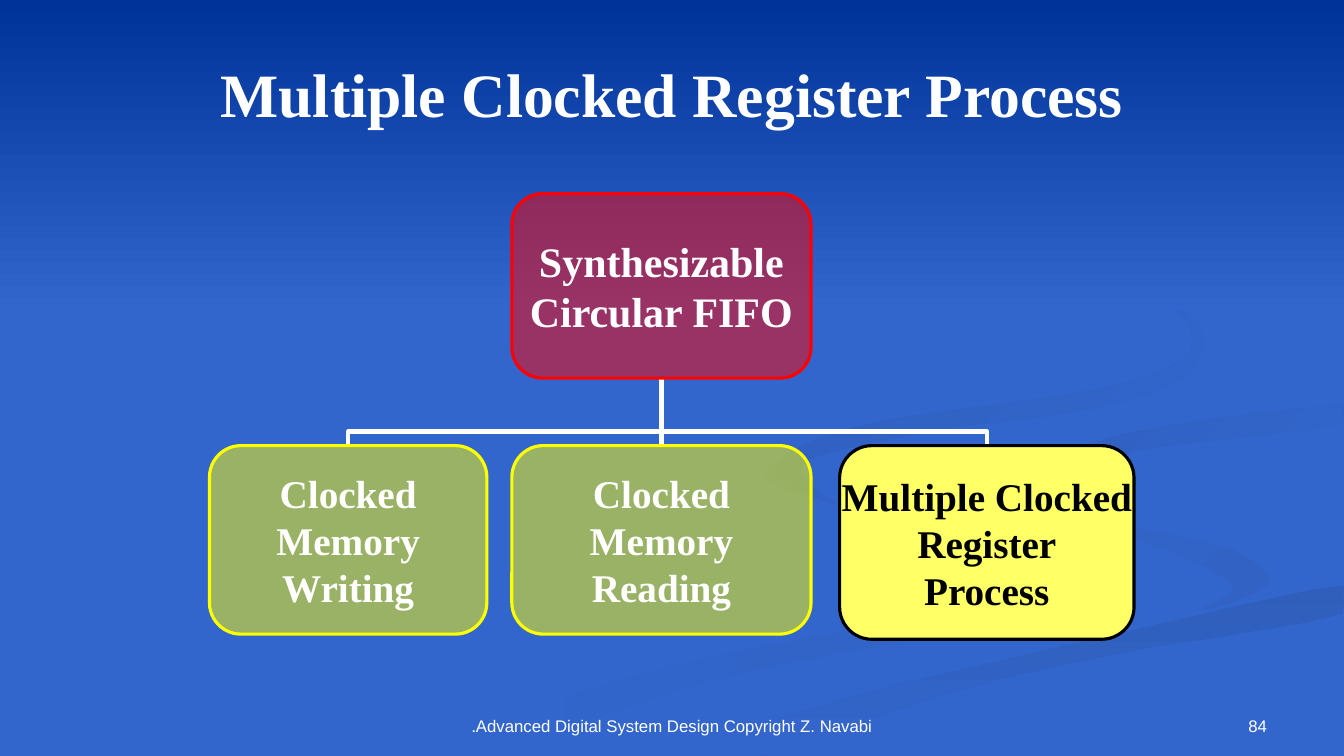
from lxml.etree import SubElement
from pptx import Presentation
from pptx.dml.color import RGBColor
from pptx.enum.shapes import MSO_CONNECTOR, MSO_SHAPE
from pptx.enum.text import MSO_ANCHOR, PP_ALIGN
from pptx.oxml.ns import qn
from pptx.util import Cm, Pt

COLORS = {
    "background": "3366CC", "band": "003399", "white": "FFFFFF", "black": "000000",
    "red": "FF0000", "yellow": "FFFF00", "highlight": "FFFF66",
    "tail": "3162C4", "stream": "2F5EBB", "curl": "3060C1", "crest": "2F5FBE",
}
SERIF, SANS = "Times New Roman", "Arial"
HUNDREDTH_INCH = Cm(2.54) / 100
CURVE_STEPS = 5

# First colour, last colour, angle, guide points in hundredths of an inch
SWOOSHES = [
    ("background", "tail", 0, [
        (1042, 553), (910, 519), (792, 485), (767, 459), (774, 484), (929, 525), (1047, 562),
        (969, 602), (665, 661), (400, 749), (482, 749), (709, 674), (987, 618), (1066, 580)]),
    ("background", "tail", 315, [
        (1257, 570), (1206, 540), (1056, 509), (965, 464), (1007, 505), (1139, 539),
        (1223, 580), (1191, 605), (1243, 589)]),
    ("stream", "background", 270, [
        (671, 749), (762, 749), (926, 692), (1095, 651), (1331, 609), (1331, 581),
        (1109, 629), (840, 693)]),
    ("curl", "background", 315, [
        (1042, 460), (1054, 478), (1101, 496), (1073, 472), (1124, 448), (1331, 420),
        (1331, 402), (1132, 427)]),
    ("crest", "background", 315, [
        (911, 430), (1099, 402), (1185, 362), (1173, 307), (1017, 233), (1149, 292),
        (1181, 348), (1091, 386), (865, 420), (769, 462), (829, 500), (795, 461)]),
]


def rgb(name):
    return RGBColor.from_string(COLORS[name])


def smooth_outline(points):
    """Closed Catmull-Rom curve through the guide points."""
    count = len(points)
    outline = []
    for index in range(count):
        corners = [points[(index + shift) % count] for shift in (-1, 0, 1, 2)]
        for step in range(CURVE_STEPS):
            t = step / CURVE_STEPS
            weights = (-t + 2 * t**2 - t**3, 2 - 5 * t**2 + 3 * t**3,
                       t + 4 * t**2 - 3 * t**3, t**3 - t**2)
            x, y = (sum(w * value for w, value in zip(weights, axis)) / 2
                    for axis in zip(*corners))
            outline.append((min(round(x), 1333), min(round(y), 750)))
    return outline


def fill_gradient(shape, first, last, angle):
    shape.shadow.inherit = False
    shape.line.fill.background()
    shape.fill.gradient()
    shape.fill.gradient_angle = angle
    for stop, name, position in zip(shape.fill.gradient_stops, (first, last), (0, 1)):
        stop.color.rgb = rgb(name)
        stop.position = position


def write_lines(shape, lines, font_format, anchor=MSO_ANCHOR.MIDDLE,
                alignment=PP_ALIGN.CENTER, color="white"):
    frame = shape.text_frame
    frame.vertical_anchor = anchor
    for index, line in enumerate(lines):
        paragraph = frame.paragraphs[0] if index == 0 else frame.add_paragraph()
        paragraph.alignment = alignment
        run = paragraph.add_run()
        run.text = line
        for name, value in font_format.items():
            setattr(run.font, name, value)
        run.font.color.rgb = rgb(color)


def add_text(slide, box, text, font_format, **layout):
    shape = slide.shapes.add_textbox(*map(Cm, box))
    shape.text_frame.word_wrap = True
    write_lines(shape, [text], font_format, **layout)
    return shape


def add_backdrop(slide, box):
    left, top, width, height = box
    slide.background.fill.solid()
    slide.background.fill.fore_color.rgb = rgb("background")
    for first, last, angle, points in SWOOSHES:
        outline = smooth_outline(points)
        builder = slide.shapes.build_freeform(*outline[0], scale=HUNDREDTH_INCH)
        builder.add_line_segments(outline[1:], close=True)
        fill_gradient(builder.convert_to_shape(Cm(left), Cm(top)), first, last, angle)
    band = slide.shapes.add_shape(MSO_SHAPE.RECTANGLE, Cm(left), Cm(top), Cm(width),
                                  Cm(height * 0.41))
    fill_gradient(band, "band", "background", 270)


def add_node(slide, box, lines, size, fill, outline, text_color="white", alpha=None):
    node = slide.shapes.add_shape(MSO_SHAPE.ROUNDED_RECTANGLE, *map(Cm, box))
    node.shadow.inherit = False
    node.fill.solid()
    node.fill.fore_color.rgb = rgb(fill)
    if alpha is not None:
        color = node._element.spPr.find(qn("a:solidFill"))[0]
        SubElement(color, qn("a:alpha"), val=str(alpha * 1000))
    node.line.color.rgb = rgb(outline)
    node.line.width = Pt(2.25)
    frame = node.text_frame
    frame.word_wrap = False
    for side in ("left", "right", "top", "bottom"):
        setattr(frame, f"margin_{side}", 0)
    write_lines(node, lines, {"name": SERIF, "size": Pt(size), "bold": True}, color=text_color)


def add_branch(slide, child, root):
    """Elbow from the top of a child box up to the bottom of the root box."""
    start_x, start_y = child[0] + child[2] / 2, child[1]
    end_x, end_y = root[0] + root[2] / 2, root[1] + root[3]
    middle_x, middle_y = (start_x + end_x) / 2, (start_y + end_y) / 2
    rise, span = start_y - end_y, end_x - start_x
    # The elbow runs sideways by default; a 270 degree turn makes it run upwards
    branch = slide.shapes.add_connector(
        MSO_CONNECTOR.ELBOW, Cm(middle_x - rise / 2), Cm(middle_y - span / 2),
        Cm(middle_x + rise / 2), Cm(middle_y + span / 2))
    branch.line.color.rgb = rgb("white")
    branch.line.width = Pt(3)
    properties = branch._element.spPr
    properties.find(qn("a:xfrm")).set("rot", str(270 * 60000))
    geometry = properties.find(qn("a:prstGeom"))
    guides = geometry.find(qn("a:avLst"))
    if guides is None:
        guides = SubElement(geometry, qn("a:avLst"))
    SubElement(guides, qn("a:gd"), name="adj1", fmla="val 21000")
    SubElement(properties, qn("a:effectLst"))


def add_hierarchy(slide, box):
    left, top, width, height = box
    root = (left + 7.62, top, 7.54, 4.65)
    child_top = top + 6.35
    children = [
        ((left, child_top, 6.99, 4.75), ["Clocked", "Memory", "Writing"]),
        ((left + 7.62, child_top, 7.54, 4.75), ["Clocked", "Memory", "Reading"]),
        ((left + width - 7.42, child_top, 7.42, height - 6.35),
         ["Multiple Clocked", "Register", "Process"]),
    ]
    for child, _ in children:
        add_branch(slide, child, root)
    add_node(slide, root, ["Synthesizable", "Circular FIFO"], 30, "red", "red", alpha=50)
    for child, lines in children[:-1]:
        add_node(slide, child, lines, 28, "yellow", "yellow", alpha=50)
    add_node(slide, *children[-1], 28, "highlight", "black", "black")


def add_footer(slide, box):
    left, top, width, height = box
    font_format = {"name": SANS, "size": Pt(12)}
    credit = add_text(slide, (left, top, 10.72, height),
                      "Advanced Digital System Design Copyright Z. Navabi.",
                      font_format, anchor=MSO_ANCHOR.BOTTOM)
    credit.text_frame.paragraphs[0]._p.get_or_add_pPr().set("rtl", "1")
    add_text(slide, (left + width - 7.9, top, 7.9, height), "84", font_format,
             anchor=MSO_ANCHOR.BOTTOM, alignment=PP_ALIGN.RIGHT)


def main():
    presentation = Presentation()
    presentation.slide_width, presentation.slide_height = Cm(33.87), Cm(19.05)
    slide = presentation.slides.add_slide(presentation.slide_layouts[6])
    add_backdrop(slide, (0, 0, 33.87, 19.05))
    add_footer(slide, (11.58, 17.35, 20.6, 1.32))
    add_hierarchy(slide, (5.28, 4.88, 23.3, 11.23))
    add_text(slide, (4.88, 0.76, 24.13, 3.18), "Multiple Clocked Register Process",
             {"name": SERIF, "size": Pt(44), "bold": True})
    presentation.save("out.pptx")


if __name__ == "__main__":
    main()
